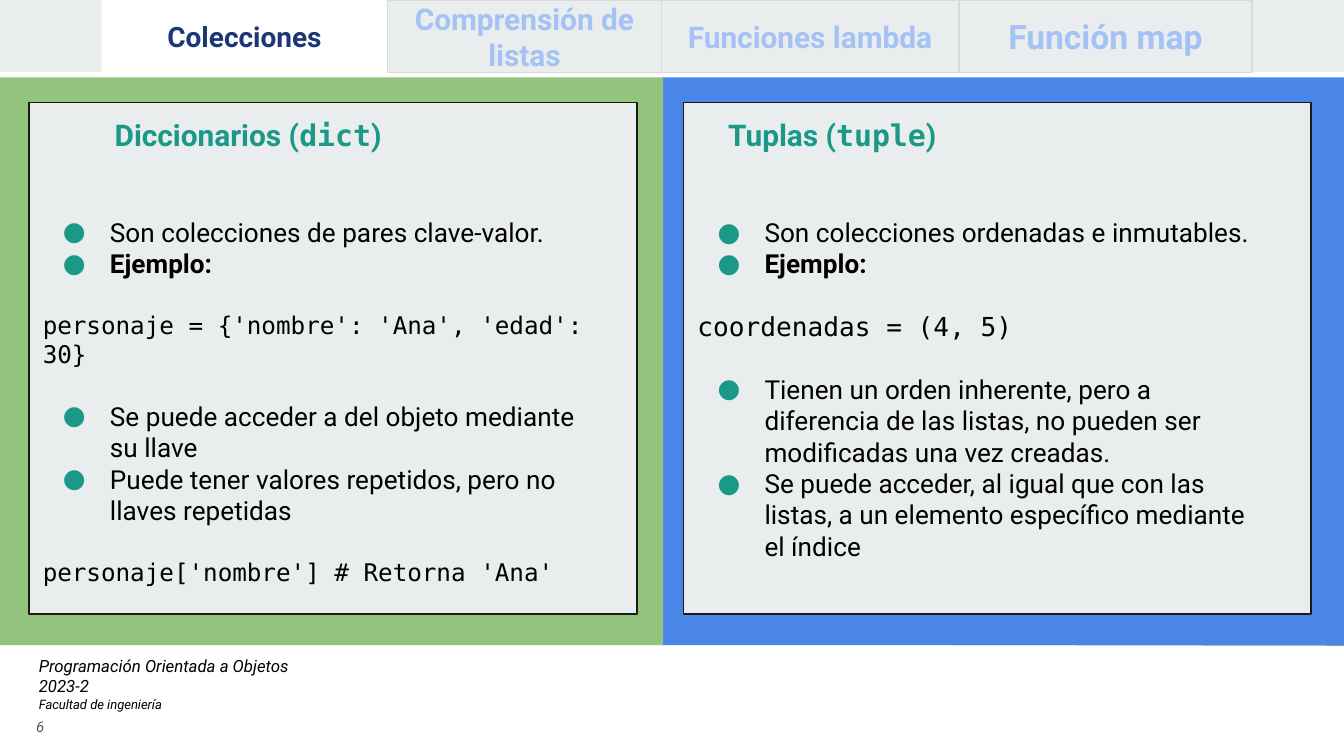
from lxml.etree import SubElement
from pptx import Presentation
from pptx.dml.color import RGBColor
from pptx.enum.shapes import MSO_CONNECTOR as CONNECTOR, MSO_SHAPE as SHAPE
from pptx.enum.text import MSO_ANCHOR as ANCHOR, PP_ALIGN as ALIGN
from pptx.oxml.ns import qn
from pptx.util import Pt

PX = 4572  # EMU per px, 200 px to the inch
SANS, MONO = "Roboto", "DejaVu Sans Mono"
BLACK, TEAL, PALE, EDGE = "000000", "1A9988", "E9EDEE", "1A1A1A"
NAVY, LIGHT_BLUE, TAB_EDGE = "1C3678", "A4C2F4", "D9D9D9"
LINE_GAP = 16.8  # height of one body line, in points


def px(*lengths):
    return [length * PX for length in lengths]


def color(hex_code):
    return RGBColor.from_string(hex_code)


class Deck:
    def __init__(self, width, height):
        self.prs = Presentation()
        self.prs.slide_width, self.prs.slide_height = px(width, height)
        self.slide = self.prs.slides.add_slide(self.prs.slide_layouts[6])

    def rect(self, box, fill=None, line=None):
        shape = self.slide.shapes.add_shape(SHAPE.RECTANGLE, *px(*box))
        shape.shadow.inherit = False
        if fill:
            shape.fill.solid()
            shape.fill.fore_color.rgb = color(fill)
        else:
            shape.fill.background()
        if line:
            shape.line.color.rgb = color(line)
            shape.line.width = Pt(0.75)
        else:
            shape.line.fill.background()
        return shape

    def rule(self, start, end, hex_code):
        line = self.slide.shapes.add_connector(CONNECTOR.STRAIGHT, *px(*start, *end))
        line.line.color.rgb = color(hex_code)
        line.line.width = Pt(0.75)
        SubElement(line._element.spPr, qn("a:effectLst"))

    def frame(self, shape, anchor=ANCHOR.TOP):
        frame = shape.text_frame
        frame.word_wrap = True
        frame.vertical_anchor = anchor
        frame.margin_left = frame.margin_right = 20 * PX
        frame.margin_top = frame.margin_bottom = 20 * PX
        return frame

    def text(self, box, anchor=ANCHOR.TOP):
        return self.frame(self.slide.shapes.add_textbox(*px(*box)), anchor)

    def run(self, paragraph, words, size, hex_code=BLACK, font=SANS, bold=False, italic=False):
        run = paragraph.add_run()
        run.text = words
        run.font.size, run.font.name = Pt(size), font
        run.font.bold, run.font.italic = bold, italic
        run.font.color.rgb = color(hex_code)

    def tab(self, left, right, label, size, active):
        box = (left, 0, right - left, 108)
        shape = self.rect(box, "FFFFFF") if active else self.rect(box, line=TAB_EDGE)
        paragraph = self.frame(shape, ANCHOR.MIDDLE).paragraphs[0]
        paragraph.alignment = ALIGN.CENTER
        self.run(paragraph, label, size, NAVY if active else LIGHT_BLUE, bold=True)

    def heading(self, left, word, keyword):
        paragraph = self.text((left, 154, 812, 94)).paragraphs[0]
        for words, font in ((f"{word} (", SANS), (keyword, MONO), (")", SANS)):
            self.run(paragraph, words, 16, TEAL, font, bold=True)

    def bullet(self, paragraph):
        props = paragraph._p.get_or_add_pPr()
        props.set("marL", str(100 * PX))
        props.set("indent", str(-70 * PX))
        SubElement(SubElement(props, qn("a:buClr")), qn("a:srgbClr"), val=TEAL)
        SubElement(props, qn("a:buFont"), typeface=SANS)
        SubElement(props, qn("a:buChar"), char="●")

    def body(self, box, code_size, items):
        frame = self.text(box)
        after_code = False
        for i, (kind, words) in enumerate(items):
            paragraph = frame.add_paragraph() if i else frame.paragraphs[0]
            is_code = kind == "code"
            if i and is_code != after_code:
                paragraph.space_before = Pt(LINE_GAP)
            if is_code:
                self.run(paragraph, words, code_size, font=MONO)
            else:
                self.bullet(paragraph)
                self.run(paragraph, words, 14, bold=kind == "bold")
            after_code = is_code


deck = Deck(2000, 1125)

# Footer and header band
footer = deck.text((38, 956, 884, 124)).paragraphs[0]
for words, size in (("Programación Orientada a Objetos", 9), ("2023-2", 9),
                    ("Facultad de ingeniería", 7)):
    if footer.runs:
        footer.add_line_break()
    deck.run(footer, words, size, italic=True)
deck.rule((0, 956), (2000, 960), "999999")
deck.rect((0, 0, 2000, 107), PALE)
page_number = deck.text((34, 1039, 120, 86), ANCHOR.MIDDLE).paragraphs[0]
deck.run(page_number, "6", 8, "595959", italic=True)

# Coloured halves with their cards
deck.rect((984, 115, 1016, 845), "4A86E8")
deck.rect((0, 115, 987, 845), "93C47D")
for left, width in ((43, 905), (1017, 934)):
    deck.rect((left, 153, width, 761), PALE, EDGE)

# Topic tabs
edges = (151, 577, 984, 1427, 1863)
topics = (("Colecciones", 15), ("Comprensión de listas", 16),
          ("Funciones lambda", 16), ("Función map", 18))
for i, (label, size) in enumerate(topics):
    deck.tab(edges[i], edges[i + 1], label, size, active=i == 0)

# Dictionaries
deck.heading(151, "Diccionarios", "dict")
deck.body((44, 302, 880, 552), 13, (
    ("point", "Son colecciones de pares clave-valor."),
    ("bold", "Ejemplo:"),
    ("code", "personaje = {'nombre': 'Ana', 'edad': 30}"),
    ("point", "Se puede acceder a del objeto mediante su llave"),
    ("point", "Puede tener valores repetidos, pero no llaves repetidas"),
    ("code", "personaje['nombre'] # Retorna 'Ana'"),
))

# Tuples
deck.heading(1064, "Tuplas", "tuple")
deck.body((1018, 302, 890, 558), 14, (
    ("point", "Son colecciones ordenadas e inmutables."),
    ("bold", "Ejemplo:"),
    ("code", "coordenadas = (4, 5)"),
    ("point", "Tienen un orden inherente, pero a diferencia de las listas, "
              "no pueden ser modificadas una vez creadas."),
    ("point", "Se puede acceder, al igual que con las listas, "
              "a un elemento específico mediante el índice"),
))

deck.prs.save("out.pptx")
